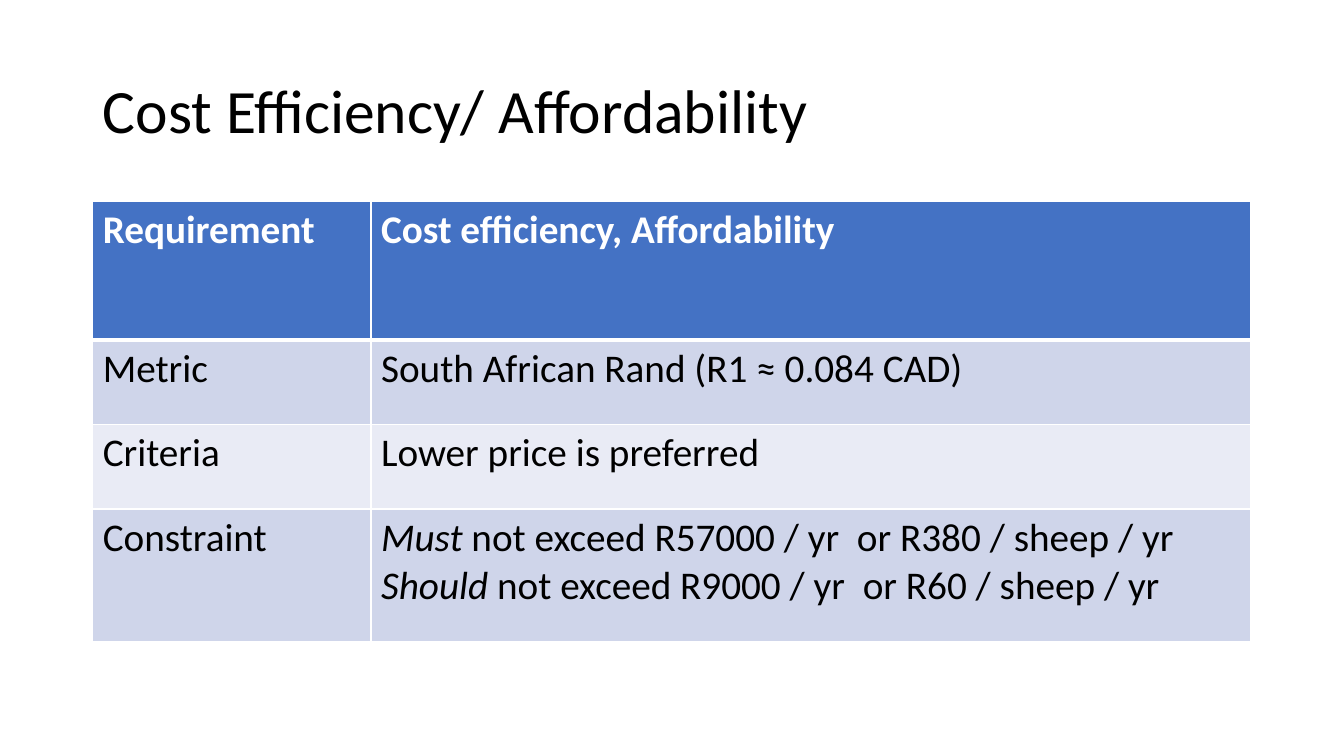
from dataclasses import dataclass

from lxml.etree import SubElement
from pptx import Presentation
from pptx.dml.color import RGBColor
from pptx.enum.text import MSO_ANCHOR, PP_ALIGN
from pptx.oxml import parse_xml
from pptx.oxml.ns import nsdecls
from pptx.util import Inches, Pt


@dataclass(frozen=True)
class Theme:
    font: str = "Calibri"
    title_size: int = 44
    table_size: int = 28
    text: str = "000000"
    header_text: str = "FFFFFF"
    header_fill: str = "4472C4"
    bands: tuple = ("CFD5EA", "E9EBF5")
    border: str = "FFFFFF"
    border_width: int = 1
    header_rule_width: int = 3


class SlideBuilder:
    def __init__(self, presentation, theme):
        self.theme = theme
        self.slide = presentation.slides.add_slide(presentation.slide_layouts[5])

    def style(self, paragraph, size, color, bold=False):
        paragraph.alignment = PP_ALIGN.LEFT
        font = paragraph.font
        font.name = self.theme.font
        font.size = Pt(size)
        font.bold = bold
        font.color.rgb = RGBColor.from_string(color)

    def title(self, text, left, top, width, height):
        title = self.slide.shapes.title
        title.left, title.top = Inches(left), Inches(top)
        title.width, title.height = Inches(width), Inches(height)
        frame = title.text_frame
        frame.text = text
        frame.word_wrap = True
        frame.vertical_anchor = MSO_ANCHOR.MIDDLE
        frame.paragraphs[0].line_spacing = 0.9
        self.style(frame.paragraphs[0], self.theme.title_size, self.theme.text)

    def border(self, cell, widths):
        properties = cell._tc.get_or_add_tcPr()
        for index, (side, width) in enumerate(widths.items()):
            line = parse_xml(f'<a:ln{side} {nsdecls("a")} w="{Pt(width)}"/>')
            fill = SubElement(line, f"{{{line.nsmap['a']}}}solidFill")
            SubElement(fill, f"{{{line.nsmap['a']}}}srgbClr", val=self.theme.border)
            properties.insert(index, line)

    def cell(self, cell, paragraphs, row):
        theme = self.theme
        header = row == 0
        fill = theme.header_fill if header else theme.bands[(row - 1) % 2]
        color = theme.header_text if header else theme.text
        cell.fill.solid()
        cell.fill.fore_color.rgb = RGBColor.from_string(fill)
        for index, (emphasis, text) in enumerate(paragraphs):
            frame = cell.text_frame
            paragraph = frame.add_paragraph() if index else frame.paragraphs[0]
            self.style(paragraph, theme.table_size, color, header)
            if emphasis:
                run = paragraph.add_run()
                run.text = emphasis
                run.font.italic = True
            paragraph.add_run().text = text
        widths = dict.fromkeys("LRTB", theme.border_width)
        if header:
            widths["B"] = theme.header_rule_width
        elif row == 1:
            widths["T"] = theme.header_rule_width
        self.border(cell, widths)

    def table(self, rows, left, top, column_widths, row_heights):
        table = self.slide.shapes.add_table(
            len(rows), len(column_widths), Inches(left), Inches(top),
            Inches(sum(column_widths)), Inches(sum(row_heights)),
        ).table
        for column, width in zip(table.columns, column_widths):
            column.width = Inches(width)
        for row, height in zip(table.rows, row_heights):
            row.height = Inches(height)
        for row_index, (label, paragraphs) in enumerate(rows):
            self.cell(table.cell(row_index, 0), [("", label)], row_index)
            self.cell(table.cell(row_index, 1), paragraphs, row_index)


REQUIREMENTS = [
    ("Requirement", [("", "Cost efficiency, Affordability")]),
    ("Metric", [("", "South African Rand (R1 ≈ 0.084 CAD)")]),
    ("Criteria", [("", "Lower price is preferred")]),
    ("Constraint", [
        ("Must ", "not exceed R57000 / yr  or R380 / sheep / yr"),
        ("Should ", "not exceed R9000 / yr  or R60 / sheep / yr"),
    ]),
]


def main():
    presentation = Presentation()
    presentation.slide_width = Inches(13.33)
    presentation.slide_height = Inches(7.5)
    builder = SlideBuilder(presentation, Theme())
    builder.title("Cost Efficiency/ Affordability", 0.92, 0.4, 11.5, 1.45)
    builder.table(REQUIREMENTS, 0.92, 2, (2.76, 8.72), (1.37, 0.84, 0.84, 1.32))
    presentation.save("out.pptx")


if __name__ == "__main__":
    main()
